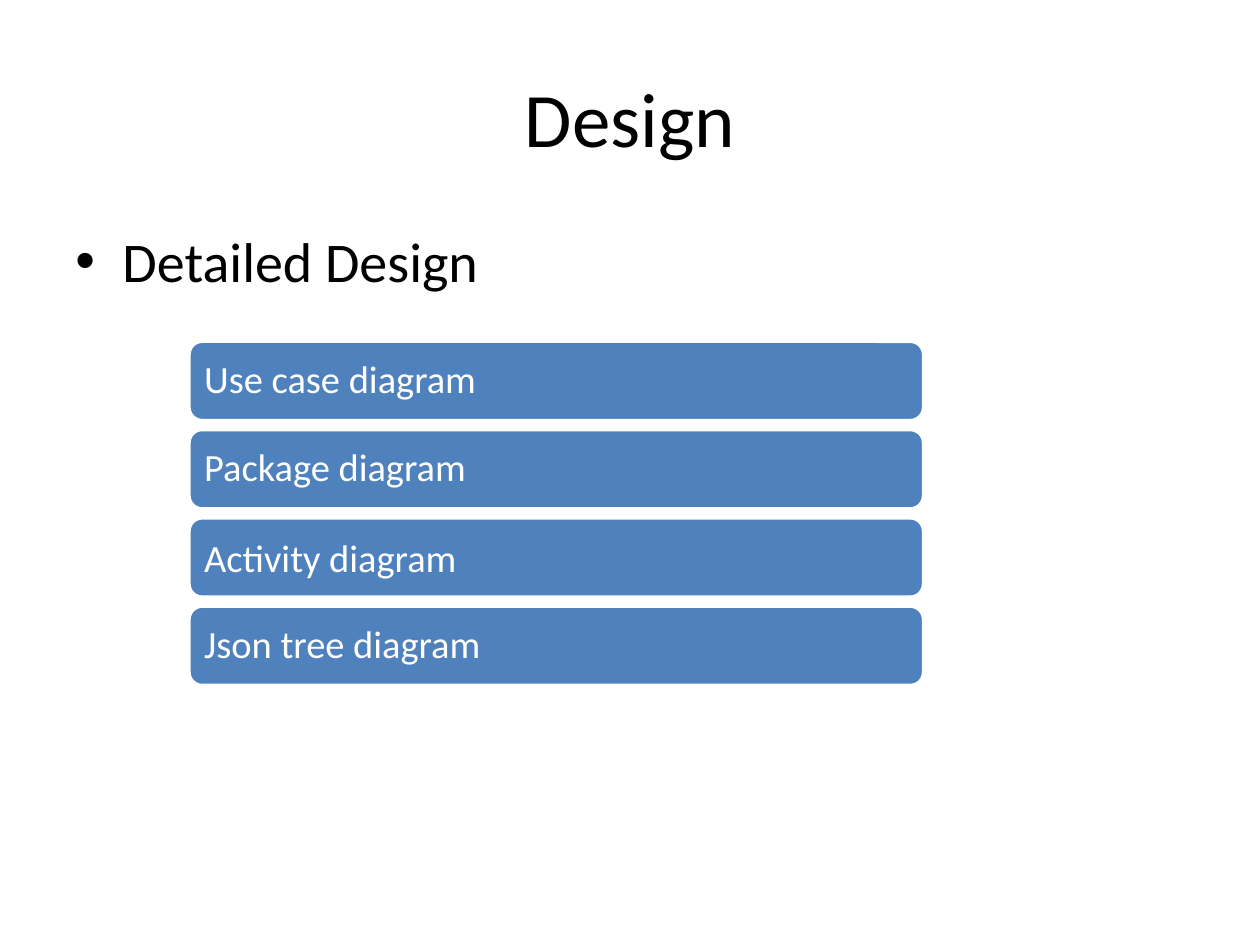
from dataclasses import dataclass
from lxml.etree import SubElement
from pptx import Presentation
from pptx.dml.color import RGBColor
from pptx.enum.shapes import MSO_SHAPE as Shape
from pptx.enum.text import MSO_ANCHOR as Anchor, PP_ALIGN as Align
from pptx.oxml.ns import qn
from pptx.util import Cm, Pt


@dataclass
class Box:
    left: float
    top: float
    width: float
    height: float

    def place(self) -> tuple:
        return Cm(self.left), Cm(self.top), Cm(self.width), Cm(self.height)


@dataclass
class Bar:
    text: str
    pitch: float = 0.9


BARS = [
    Bar("Use case diagram"),
    Bar("Package diagram"),
    Bar("Activity diagram", 1.0),
    Bar("Json tree diagram"),
]
STEP = 1.78


def tint(code: str) -> RGBColor:
    return RGBColor.from_string(code)


def style(para, size: float, code: str, align=Align.LEFT) -> None:
    para.alignment = align
    font = para.font
    font.name = "Calibri"
    font.size = Pt(size)
    font.color.rgb = tint(code)


def bullet(para, indent: float) -> None:
    props = para._p.get_or_add_pPr()
    props.set("marL", str(Cm(indent)))
    props.set("indent", str(-Cm(indent)))
    SubElement(props, qn("a:buFont")).set("typeface", "Arial")
    SubElement(props, qn("a:buChar")).set("char", "•")


def write(slide, box: Box, text: str, anchor):
    frame = slide.shapes.add_textbox(*box.place()).text_frame
    frame.word_wrap = True
    frame.vertical_anchor = anchor
    para = frame.paragraphs[0]
    para.text = text
    return para


def draw(slide, box: Box, bar: Bar) -> None:
    shape = slide.shapes.add_shape(Shape.ROUNDED_RECTANGLE, *box.place())
    shape.shadow.inherit = False
    shape.fill.solid()
    shape.fill.fore_color.rgb = tint("4F81BD")
    shape.line.color.rgb = tint("FFFFFF")
    shape.line.width = Pt(2)
    frame = shape.text_frame
    frame.word_wrap = True
    frame.vertical_anchor = Anchor.MIDDLE
    frame.margin_left = frame.margin_right = Cm(0.23)
    frame.margin_top = frame.margin_bottom = Cm(0.23)
    para = frame.paragraphs[0]
    para.text = bar.text
    para.line_spacing = bar.pitch
    style(para, 22, "FFFFFF")


def main() -> None:
    deck = Presentation()
    deck.slide_width, deck.slide_height = Cm(25.4), Cm(19.05)
    slide = deck.slides.add_slide(deck.slide_layouts[6])

    title = write(slide, Box(1.27, 0.76, 22.86, 3.18), "Design", Anchor.MIDDLE)
    style(title, 44, "000000", Align.CENTER)

    topic = write(slide, Box(1.27, 4.45, 22.86, 1.9), "Detailed Design", Anchor.TOP)
    bullet(topic, 0.95)
    style(topic, 32, "000000")

    for row, bar in enumerate(BARS):
        draw(slide, Box(3.81, 6.88 + row * STEP, 14.81, 1.6), bar)

    deck.save("out.pptx")


if __name__ == "__main__":
    main()
